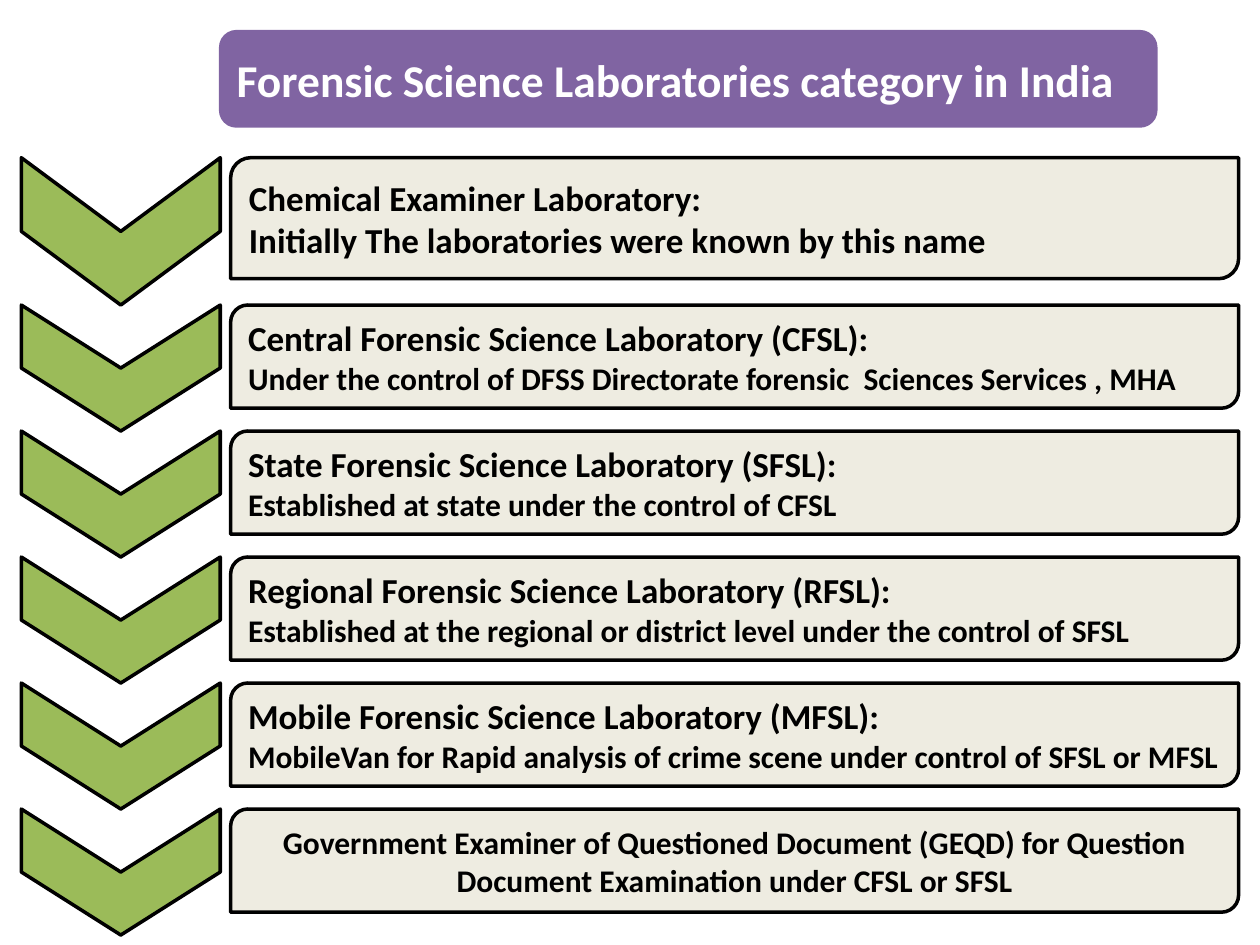
from dataclasses import dataclass

from pptx import Presentation
from pptx import util as u
from pptx.dml.color import RGBColor
from pptx.enum import shapes, text

SHAPE = shapes.MSO_SHAPE
ALIGN = text.PP_ALIGN


@dataclass(frozen=True)
class Theme:
    """Colours, font and sizes of the slide."""
    font: str = "Calibri"
    ink: str = "000000"
    title_ink: str = "FFFFFF"
    banner: str = "8064A2"
    chevron: str = "9BBB59"
    panel: str = "EEECE1"
    title_size: int = 26
    head_size: int = 20
    body_size: int = 18
    line_width: int = 2


class Builder:
    """Draws styled elements on the current slide."""

    def __init__(self, prs, theme):
        self.theme = theme
        self.slide = prs.slides.add_slide(prs.slide_layouts[5])

    def shape(self, kind, x, y, w, h, fill, line):
        """Add a filled and outlined preset shape, placed in centimetres."""
        sp = self.slide.shapes.add_shape(kind, u.Cm(x), u.Cm(y), u.Cm(w), u.Cm(h))
        sp.shadow.inherit = False
        sp.fill.solid()
        sp.fill.fore_color.rgb = RGBColor.from_string(fill)
        sp.line.color.rgb = RGBColor.from_string(line)
        sp.line.width = u.Pt(self.theme.line_width)
        return sp

    def set_lines(self, tf, lines, color, align):
        """Fill a text frame with (wording, size) lines."""
        tf.word_wrap = True
        tf.vertical_anchor = text.MSO_ANCHOR.MIDDLE
        tf.text = "\n".join(wording for wording, _ in lines)
        for p, (_, size) in zip(tf.paragraphs, lines):
            p.alignment = align
            for r in p.runs:
                r.font.name = self.theme.font
                r.font.size = u.Pt(size)
                r.font.bold = True
                r.font.color.rgb = RGBColor.from_string(color)

    def title(self, wording, x, y, w, h):
        """Set the title placeholder on a rounded banner."""
        t = self.theme
        self.shape(SHAPE.ROUNDED_RECTANGLE, x, y, w, h, t.banner, t.banner)
        sp = self.slide.shapes.title
        sp.left, sp.top, sp.width, sp.height = u.Cm(x), u.Cm(y), u.Cm(w), u.Cm(h)
        self.slide.shapes._spTree.append(sp._element)
        tf = sp.text_frame
        tf.auto_size = text.MSO_AUTO_SIZE.NONE
        tf.margin_left, tf.margin_right = u.Cm(0.2), u.Cm(0.7)
        self.set_lines(tf, [(wording, t.title_size)], t.title_ink, ALIGN.CENTER)

    def chevron(self, x, y, w, h):
        """Add a downward chevron that fills the given frame."""
        t = self.theme
        sp = self.shape(SHAPE.CHEVRON, x + (w - h) / 2, y + (h - w) / 2, h, w,
                        t.chevron, t.ink)
        sp.rotation = 90

    def panel(self, lines, align, x, y, w, h):
        """Add a text panel with two rounded corners."""
        t = self.theme
        sp = self.shape(SHAPE.ROUND_2_DIAG_RECTANGLE, x, y, w, h, t.panel, t.ink)
        self.set_lines(sp.text_frame, lines, t.ink, align)


ROWS = [
    ("Chemical Examiner Laboratory:",
     "Initially The laboratories were known by this name"),
    ("Central Forensic Science Laboratory (CFSL):",
     "Under the control of DFSS Directorate forensic  Sciences Services , MHA"),
    ("State Forensic Science Laboratory (SFSL):",
     "Established at state under the control of CFSL"),
    ("Regional Forensic Science Laboratory (RFSL):",
     "Established at the regional or district level under the control of SFSL"),
    ("Mobile Forensic Science Laboratory (MFSL):",
     "MobileVan for Rapid analysis of crime scene under control of SFSL or MFSL"),
    ("Government Examiner of Questioned Document (GEQD) for Question "
     "Document Examination under CFSL or SFSL",),
]


def main():
    """Build and save the slide."""
    prs = Presentation()
    prs.slide_width, prs.slide_height = u.Cm(25.4), u.Cm(19.05)
    theme = Theme()
    b = Builder(prs, theme)
    b.title("Forensic Science Laboratories category in India", 4.45, 0.64, 18.85, 1.9)
    y = 3.18
    for i, row in enumerate(ROWS):
        step, height = (2.97, 2.44) if i == 0 else (2.54, 2.08)
        detail_size = theme.head_size if i == 0 else theme.body_size
        sizes = (theme.head_size, detail_size) if len(row) == 2 else (theme.body_size,)
        align = ALIGN.JUSTIFY if len(row) == 2 else ALIGN.CENTER
        b.chevron(0.43, y, 4.01, step)
        b.panel(list(zip(row, sizes)), align, 4.65, y, 20.32, height)
        y += step
    prs.save("out.pptx")


if __name__ == "__main__":
    main()
